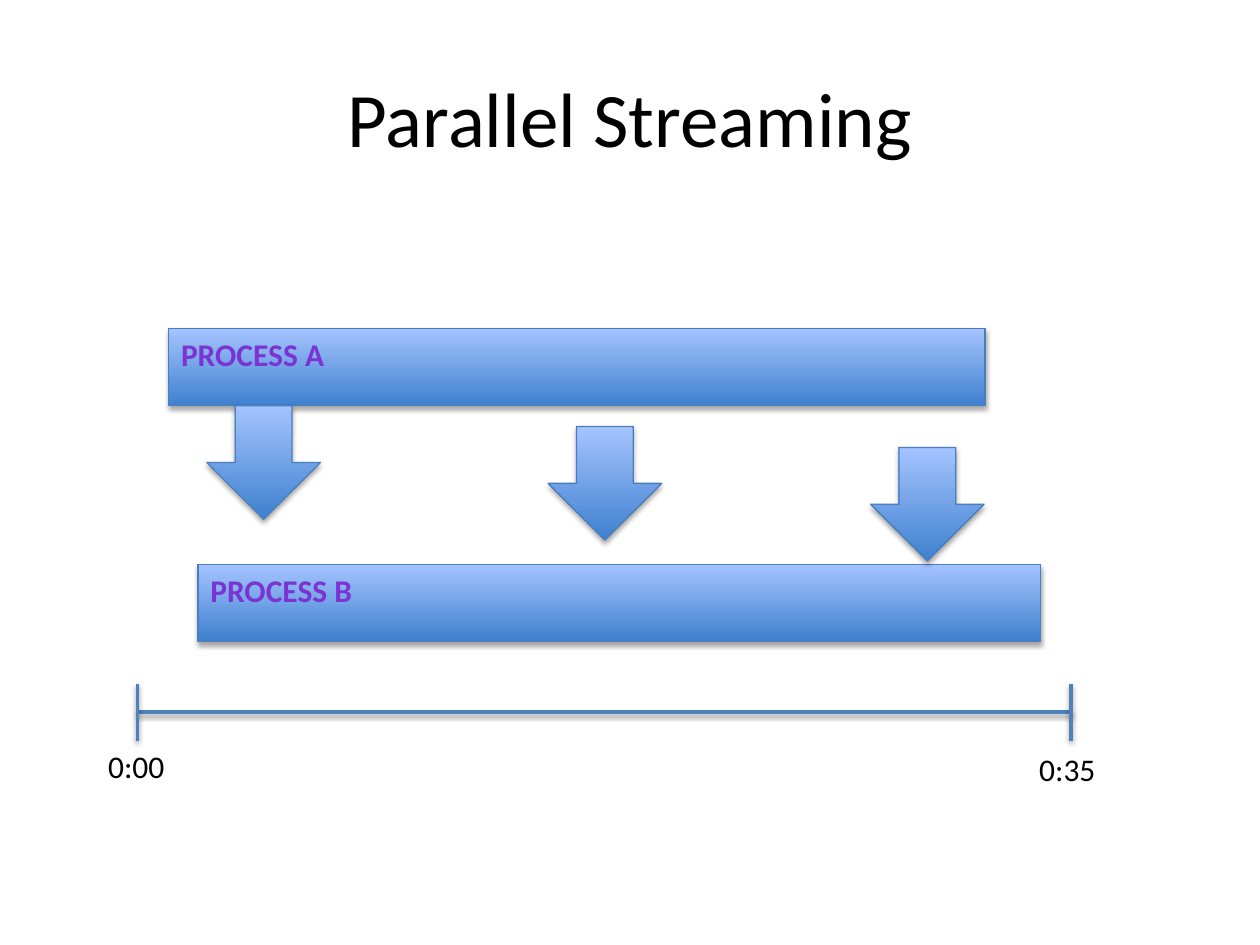
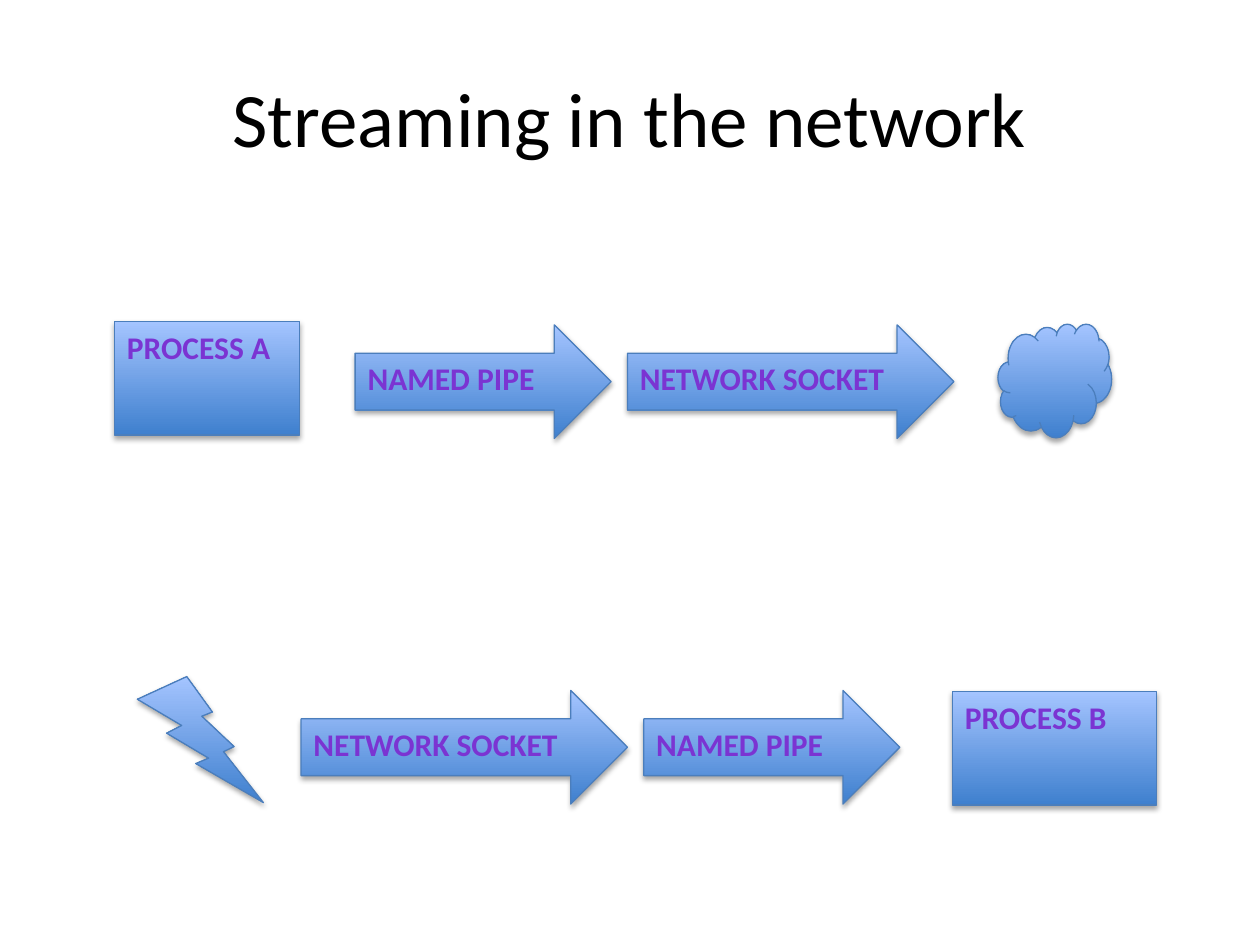
from dataclasses import dataclass

from lxml.etree import SubElement
from pptx import Presentation
from pptx.dml.color import RGBColor
from pptx.enum.shapes import MSO_CONNECTOR, MSO_SHAPE
from pptx.enum.text import MSO_ANCHOR, PP_ALIGN
from pptx.oxml.ns import qn
from pptx.util import Cm, Pt


@dataclass(frozen=True)
class Theme:
    font: str = "Calibri"
    ink: str = "000000"
    label: str = "7B34D2"
    low: str = "3F80CE"
    high: str = "A4C4FF"
    edge: str = "4B7EBC"
    axis: str = "4F81BD"
    title_pt: int = 44
    text_pt: int = 18
    edge_pt: float = 0.75
    axis_pt: float = 2
    blur_pt: float = 3.1


class Deck:
    def __init__(self, theme):
        self.theme = theme
        self.prs = Presentation()
        self.prs.slide_width, self.prs.slide_height = Cm(25.4), Cm(19.05)
        self.slide = None

    def put_text(self, frame, text, size, color, bold=False,
                 align=PP_ALIGN.LEFT):
        para = frame.paragraphs[0]
        para.alignment = align
        run = para.add_run()
        run.text = text
        font = run.font
        font.name, font.size, font.bold = self.theme.font, Pt(size), bold
        font.color.rgb = RGBColor.from_string(color)

    def shade(self, props, drop, alpha):
        """Fill the effect list with a soft shadow straight below."""
        effects = props.find(qn("a:effectLst"))
        if effects is None:
            effects = SubElement(props, qn("a:effectLst"))
        shadow = SubElement(effects, qn("a:outerShdw"), {
            "blurRad": str(Pt(self.theme.blur_pt)), "dist": str(Pt(drop)),
            "dir": "5400000", "rotWithShape": "0"})
        color = SubElement(shadow, qn("a:srgbClr"), val=self.theme.ink)
        SubElement(color, qn("a:alpha"), val=str(alpha * 1000))

    def start(self, title):
        """Open a new slide with its title."""
        self.slide = self.prs.slides.add_slide(self.prs.slide_layouts[5])
        box = self.slide.shapes.title
        box.left, box.top = Cm(1.27), Cm(0.76)
        box.width, box.height = Cm(22.86), Cm(3.18)
        box.text_frame.vertical_anchor = MSO_ANCHOR.MIDDLE
        self.put_text(box.text_frame, title, self.theme.title_pt,
                      self.theme.ink, align=PP_ALIGN.CENTER)

    def block(self, kind, x, y, w, h, text=""):
        """Draw a shaded shape, with a label at its top left if given."""
        shape = self.slide.shapes.add_shape(kind, Cm(x), Cm(y), Cm(w), Cm(h))
        shape.fill.gradient()
        shape.fill.gradient_angle = 90
        for stop, color in zip(shape.fill.gradient_stops,
                               (self.theme.low, self.theme.high)):
            stop.color.rgb = RGBColor.from_string(color)
        shape.line.color.rgb = RGBColor.from_string(self.theme.edge)
        shape.line.width = Pt(self.theme.edge_pt)
        shape.shadow.inherit = False
        self.shade(shape.element.spPr, 1.8, 35)
        if text:
            frame = shape.text_frame
            frame.vertical_anchor = MSO_ANCHOR.TOP
            self.put_text(frame, text, self.theme.text_pt, self.theme.label,
                          True)

    def rule(self, x1, y1, x2, y2):
        line = self.slide.shapes.add_connector(
            MSO_CONNECTOR.STRAIGHT, Cm(x1), Cm(y1), Cm(x2), Cm(y2))
        line.line.color.rgb = RGBColor.from_string(self.theme.axis)
        line.line.width = Pt(self.theme.axis_pt)
        self.shade(line.element.spPr, 1.6, 38)

    def note(self, x, y, w, text):
        box = self.slide.shapes.add_textbox(Cm(x), Cm(y), Cm(w), Cm(1.02))
        box.text_frame.word_wrap = True
        self.put_text(box.text_frame, text, self.theme.text_pt, self.theme.ink)


SIDE = 2.29  # height of arrows and boxes
PIPE = ("NAMED PIPE", 5.16)
SOCKET = ("NETWORK SOCKET", 6.58)


def parallel(deck):
    deck.start("Parallel Streaming")

    # Process bars
    for name, x, y, w in (("A", 3.4, 6.63, 16.46), ("B", 3.99, 11.38, 16.99)):
        deck.block(MSO_SHAPE.RECTANGLE, x, y, w, 1.55, f"PROCESS {name}")

    # Time axis with end ticks
    left, right, mid = 2.77, 21.59, 14.35
    deck.rule(left, mid, right, mid)
    for x in (left, right):
        deck.rule(x, mid - 0.56, x, mid + 0.58)
    deck.note(1.93, 14.94, 1.65, "0:00")
    deck.note(20.7, 15, 1.8, "0:35")

    # Data passed down, each arrow a little later
    for step, x in enumerate((4.17, 11.05, 17.55)):
        deck.block(MSO_SHAPE.DOWN_ARROW, x, 8.18 + 0.42 * step, SIDE, SIDE)


def network(deck):
    deck.start("Streaming in the network")

    # Sending row, then receiving row
    rows = (
        (6.55, (7.16, PIPE), (12.65, SOCKET)),
        (13.92, (6.07, SOCKET), (12.98, PIPE)),
    )
    for y, *arrows in rows:
        for x, (text, w) in arrows:
            deck.block(MSO_SHAPE.RIGHT_ARROW, x, y, w, SIDE, text)

    # Row ends
    deck.block(MSO_SHAPE.RECTANGLE, 2.31, 6.48, 3.73, SIDE, "PROCESS A")
    deck.block(MSO_SHAPE.CLOUD, 20.12, 6.53, SIDE, SIDE)
    deck.block(MSO_SHAPE.LIGHTNING_BOLT, 2.77, 13.64, 2.54, 2.54)
    deck.block(MSO_SHAPE.RECTANGLE, 19.2, 13.94, 4.11, SIDE, "PROCESS B")


def main():
    deck = Deck(Theme())
    parallel(deck)
    network(deck)
    deck.prs.save("out.pptx")


if __name__ == "__main__":
    main()
